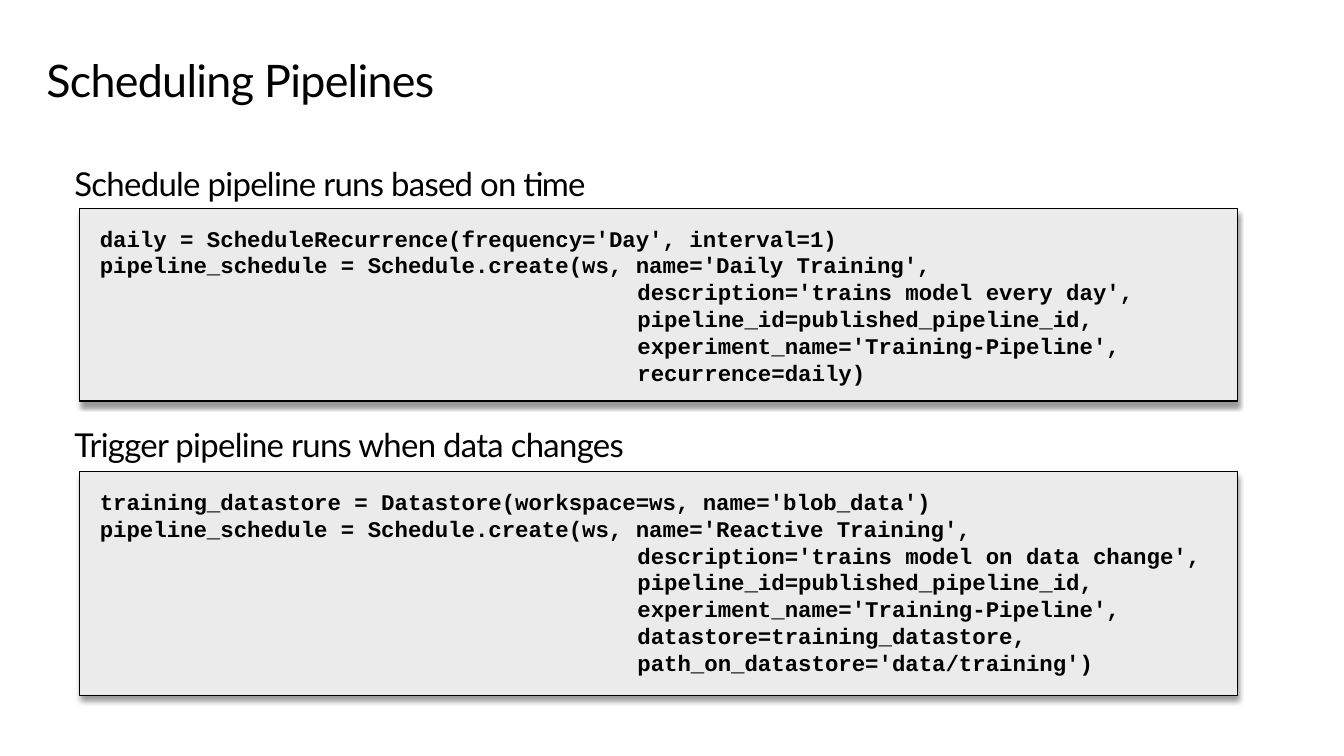
from lxml import etree
from pptx import Presentation
from pptx.dml.color import RGBColor
from pptx.enum.shapes import MSO_SHAPE as Shape
from pptx.enum.text import MSO_ANCHOR as Anchor, PP_ALIGN as Align
from pptx.oxml.ns import qn
from pptx.util import Pt

COLORS = {"text": "000000", "panel": "EBEBEB"}
PANEL_LEFT, PANEL_WIDTH = 56.9, 827.3
ARGUMENT_INDENT = 40 * 9.6  # 40 characters of 16 pt monospace

SECTIONS = [
    {
        "heading": "Schedule pipeline runs based on time",
        "heading_top": 113, "panel_top": 149, "panel_height": 137.5,
        "calls": ["daily = ScheduleRecurrence(frequency='Day', interval=1)",
                  "pipeline_schedule = Schedule.create(ws, name='Daily Training',"],
        "arguments": ["description='trains model every day',",
                      "pipeline_id=published_pipeline_id,",
                      "experiment_name='Training-Pipeline',",
                      "recurrence=daily)"],
    },
    {
        "heading": "Trigger pipeline runs when data changes",
        "heading_top": 299.5, "panel_top": 337, "panel_height": 159.8,
        "calls": ["training_datastore = Datastore(workspace=ws, name='blob_data')",
                  "pipeline_schedule = Schedule.create(ws, name='Reactive Training',"],
        "arguments": ["description='trains model on data change',",
                      "pipeline_id=published_pipeline_id,",
                      "experiment_name='Training-Pipeline',",
                      "datastore=training_datastore,",
                      "path_on_datastore='data/training')"],
    },
]


def add_text(para, text, font, size, bold=False, spacing=0):
    para.alignment = Align.LEFT
    span = para.add_run()
    span.text = text
    span.font.name = font
    span.font.size = Pt(size)
    span.font.bold = bold
    span.font.color.rgb = RGBColor.from_string(COLORS["text"])
    if spacing:
        span.font._element.set("spc", str(int(spacing * 100)))


def set_frame(frame, left, top, right, bottom):
    frame.word_wrap = True
    frame.vertical_anchor = Anchor.TOP
    frame.margin_left, frame.margin_top = Pt(left), Pt(top)
    frame.margin_right, frame.margin_bottom = Pt(right), Pt(bottom)


deck = Presentation()
deck.slide_width, deck.slide_height = Pt(960), Pt(540)
page = deck.slides.add_slide(deck.slide_layouts[5])

# Title
title = page.shapes.title
title.left, title.top, title.width, title.height = Pt(33.1), Pt(34.6), Pt(892.8), Pt(53.3)
set_frame(title.text_frame, 0, 7.2, 11.5, 7.2)
title_para = title.text_frame.paragraphs[0]
title_para.line_spacing = 0.9
add_text(title_para, "Scheduling Pipelines", "Lato", 32, spacing=-0.5)

for section in SECTIONS:
    # Heading
    heading = page.shapes.add_textbox(Pt(46.1), Pt(section["heading_top"]), Pt(867.6), Pt(36))
    set_frame(heading.text_frame, 7.2, 3.6, 7.2, 3.6)
    heading_para = heading.text_frame.paragraphs[0]
    heading_para.space_before, heading_para.space_after = Pt(2), Pt(4)
    add_text(heading_para, section["heading"], "Lato", 23.5, spacing=-0.5)

    # Code panel
    panel = page.shapes.add_shape(Shape.RECTANGLE, Pt(PANEL_LEFT), Pt(section["panel_top"]),
                                  Pt(PANEL_WIDTH), Pt(section["panel_height"]))
    panel.fill.solid()
    panel.fill.fore_color.rgb = RGBColor.from_string(COLORS["panel"])
    panel.line.color.rgb = RGBColor.from_string(COLORS["text"])
    panel.line.width = Pt(0.85)

    # Soft shadow straight below the panel
    panel.shadow.inherit = False
    effects = panel._element.spPr.find(qn("a:effectLst"))
    shadow = etree.SubElement(effects, qn("a:outerShdw"), blurRad=str(Pt(4)), dist=str(Pt(3)),
                              dir="5400000", algn="t", rotWithShape="0")
    shadow_color = etree.SubElement(shadow, qn("a:srgbClr"), val=COLORS["text"])
    etree.SubElement(shadow_color, qn("a:alpha"), val="40000")

    # Code lines, with the call arguments aligned by indent
    frame = panel.text_frame
    set_frame(frame, 14.4, 11.5, 14.4, 11.5)
    code_lines = section["calls"] + section["arguments"]
    for index, line in enumerate(code_lines):
        para = frame.paragraphs[0] if index == 0 else frame.add_paragraph()
        para.line_spacing = Pt(19.2)
        if line in section["arguments"]:
            properties = para._p.get_or_add_pPr()
            properties.set("marL", str(Pt(ARGUMENT_INDENT)))
            properties.set("indent", "0")
        add_text(para, line, "Courier New", 16, bold=True)

deck.save("out.pptx")
